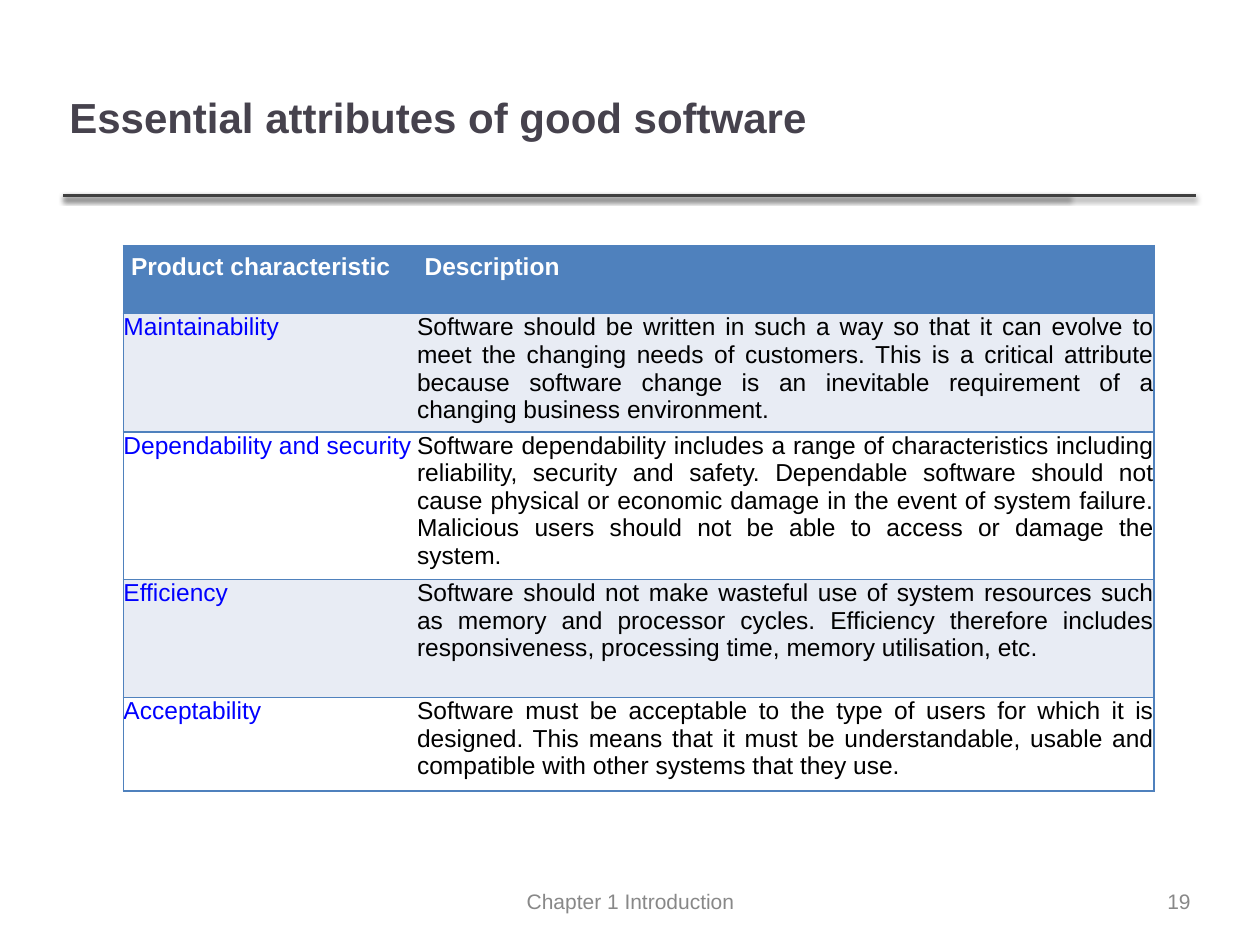
from lxml import etree
from pptx import Presentation
from pptx.dml.color import RGBColor
from pptx.enum.shapes import MSO_CONNECTOR
from pptx.enum.text import MSO_ANCHOR, PP_ALIGN
from pptx.oxml import parse_xml
from pptx.oxml.ns import qn
from pptx.util import Inches, Pt

STRAIGHT = MSO_CONNECTOR.STRAIGHT
MIDDLE = MSO_ANCHOR.MIDDLE
LEFT, CENTER, RIGHT, JUSTIFY = PP_ALIGN.LEFT, PP_ALIGN.CENTER, PP_ALIGN.RIGHT, PP_ALIGN.JUSTIFY
DRAWING_NS = "http://schemas.openxmlformats.org/drawingml/2006/main"
BLUE = "4F81BD"
SHADOW = f"""<a:effectLst xmlns:a="{DRAWING_NS}">
  <a:outerShdw blurRad="{Pt(3)}" dist="{Pt(1.6)}" dir="5400000" rotWithShape="0">
    <a:srgbClr val="000000"><a:alpha val="38000"/></a:srgbClr>
  </a:outerShdw>
</a:effectLst>"""


def style_paragraph(paragraph, text, size, color, align, bold=False):
    paragraph.text = text
    paragraph.alignment = align
    paragraph.font.name = "Arial"
    paragraph.font.size = Pt(size)
    paragraph.font.bold = bold
    paragraph.font.color.rgb = rgb(color)


def rgb(color):
    return RGBColor.from_string(color)


prs = Presentation()
prs.slide_width, prs.slide_height = Inches(10), Inches(7.5)
slide = prs.slides.add_slide(prs.slide_layouts[6])

for rule_end in (8.49, 9.49):
    title_rule = slide.shapes.add_connector(
        STRAIGHT, Inches(0.5), Inches(1.55), Inches(rule_end), Inches(1.55))
    title_rule.line.color.rgb = rgb("404040")
    title_rule.line.width = Pt(2)
    title_rule._element.spPr.append(parse_xml(SHADOW))

captions = [
    ("Chapter 1 Introduction", (3.47, 7.01, 3.07, 0.29), 12, "888888", CENTER, False),
    ("Essential attributes of good software", (0.5, 0.3, 7.98, 1.25), 24, "46424D", LEFT, True),
    ("19", (9.2, 7.01, 0.3, 0.29), 12, "888888", RIGHT, False),
]
for text, place, size, color, align, bold in captions:
    caption = slide.shapes.add_textbox(*map(Inches, place)).text_frame
    caption.word_wrap = text != "19"
    caption.vertical_anchor = MIDDLE
    caption.margin_left = caption.margin_right = Inches(0.05)
    caption.margin_top = caption.margin_bottom = Inches(0.05)
    style_paragraph(caption.paragraphs[0], text, size, color, align, bold)

attributes = [
    ("Product characteristic", "Description"),
    ("Maintainability",
     "Software should be written in such a way so that it can evolve to meet the changing "
     "needs of customers. This is a critical attribute because software change is an "
     "inevitable requirement of a changing business environment."),
    ("Dependability and security",
     "Software dependability includes a range of characteristics including reliability, "
     "security and safety. Dependable software should not cause physical or economic damage "
     "in the event of system failure. Malicious users should not be able to access or damage "
     "the system."),
    ("Efficiency",
     "Software should not make wasteful use of system resources such as memory and processor "
     "cycles. Efficiency therefore includes responsiveness, processing time, memory "
     "utilisation, etc."),
    ("Acceptability",
     "Software must be acceptable to the type of users for which it is designed. This means "
     "that it must be understandable, usable and compatible with other systems that they use."),
]
table = slide.shapes.add_table(
    len(attributes), 2, Inches(0.98), Inches(1.95), Inches(8.18), Inches(4.3)).table
table.first_row = table.horz_banding = False
for column, width in zip(table.columns, (2.33, 5.85)):
    column.width = Inches(width)
for row, height in zip(table.rows, (0.54, 0.94, 1.14, 0.94, 0.74)):
    row.height = Inches(height)

for row_index, texts in enumerate(attributes):
    header = row_index == 0
    band = BLUE if header else ("FFFFFF", "E8ECF4")[row_index % 2]
    margin = Inches(0.06 if header else 0)
    for column_index, text in enumerate(texts):
        cell = table.cell(row_index, column_index)
        cell.margin_left = cell.margin_right = margin
        cell.margin_top = cell.margin_bottom = margin
        color = "FFFFFF" if header else ("0000FF", "000000")[column_index]
        align = LEFT if text == "Dependability and security" else JUSTIFY
        style_paragraph(cell.text_frame.paragraphs[0], text, 14, color, align, header)

        properties = cell._tc.get_or_add_tcPr()
        inner_side = ("lnR", "lnL")[column_index]
        for side in ("lnL", "lnR", "lnT", "lnB"):
            border = etree.SubElement(properties, qn(f"a:{side}"), w=str(Pt(1)))
            if side == inner_side:
                etree.SubElement(border, qn("a:noFill"))
            else:
                border_fill = etree.SubElement(border, qn("a:solidFill"))
                etree.SubElement(border_fill, qn("a:srgbClr"), val=BLUE)
        cell.fill.solid()
        cell.fill.fore_color.rgb = rgb(band)

prs.save("out.pptx")
